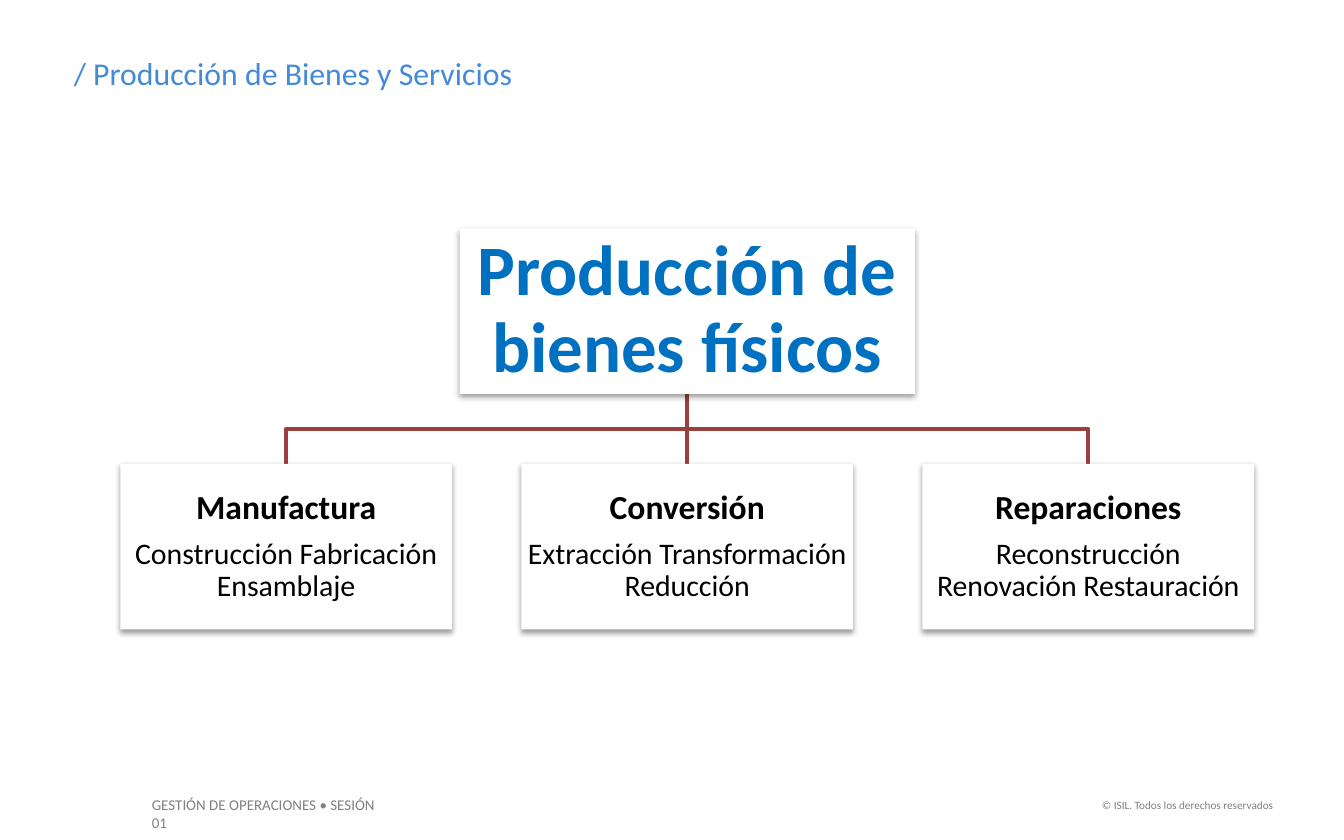
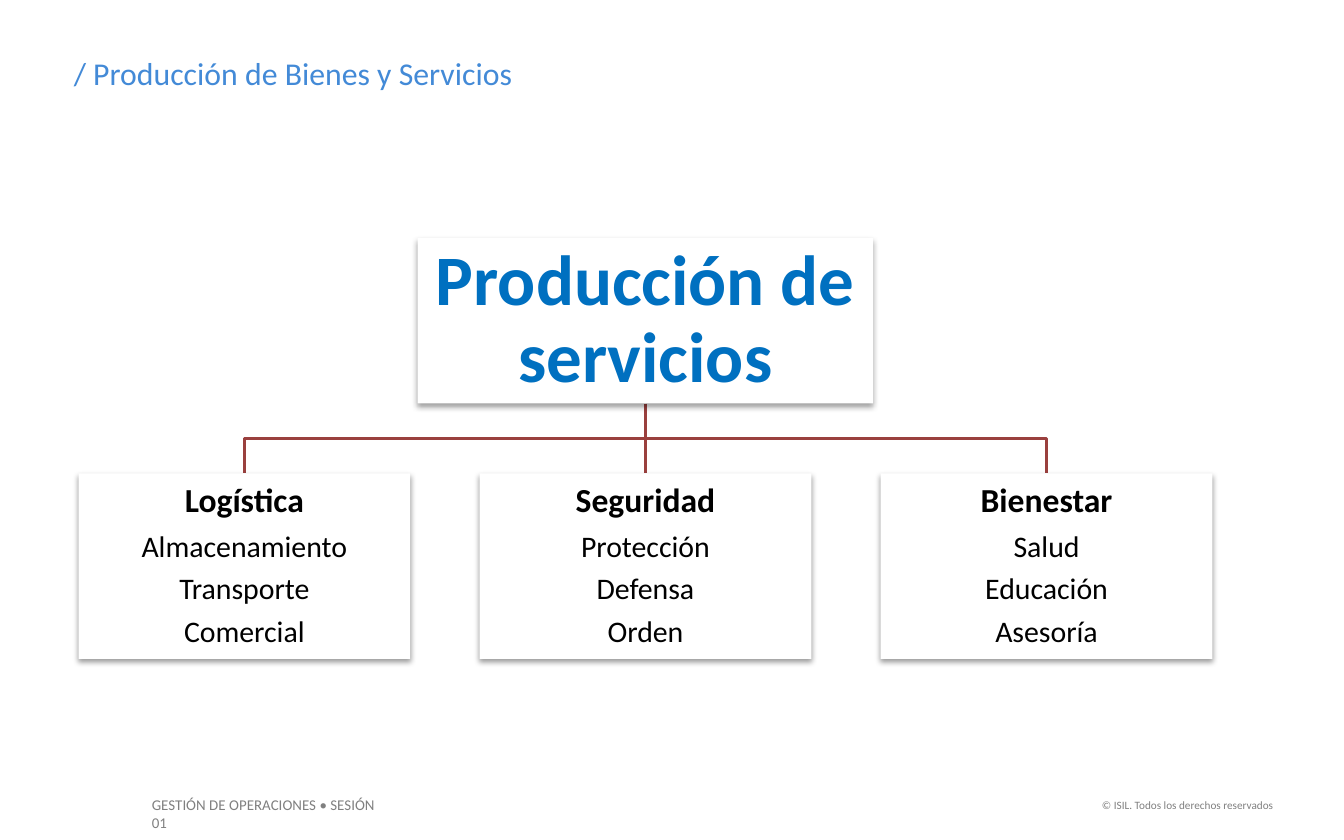
"""Build two slides that chart the production of goods and of services."""
from dataclasses import dataclass
from typing import Sequence

from lxml.etree import SubElement
from pptx import Presentation
from pptx.dml.color import RGBColor
from pptx.enum.shapes import MSO_CONNECTOR, MSO_SHAPE
from pptx.enum.text import MSO_ANCHOR, MSO_AUTO_SIZE, PP_ALIGN
from pptx.oxml.ns import qn
from pptx.slide import Slide
from pptx.text.text import TextFrame
from pptx.util import Cm, Length, Pt


@dataclass(frozen=True)
class TextStyle:
    """Look of one kind of paragraph."""
    size: float
    color: str
    bold: bool = False
    align: PP_ALIGN = PP_ALIGN.LEFT
    line_spacing: float = 1.0
    space_after: float = 0


@dataclass(frozen=True)
class Theme:
    """Colours and type of the deck."""
    font: str = "Calibri"
    card_fill: str = "FFFFFF"
    branch: str = "9A403E"
    branch_width: float = 2
    shadow: str = "000000"
    title: TextStyle = TextStyle(17, "438AD7")
    session: TextStyle = TextStyle(8, "808080")
    rights: TextStyle = TextStyle(6, "808080", align=PP_ALIGN.RIGHT)
    root: TextStyle = TextStyle(38, "0070C0", True, PP_ALIGN.CENTER, 0.9, 13.3)
    heading: TextStyle = TextStyle(18, "000000", True, PP_ALIGN.CENTER, 0.9, 6.3)
    item: TextStyle = TextStyle(16, "000000", False, PP_ALIGN.CENTER, 0.9, 5.6)


@dataclass(frozen=True)
class Frame:
    """Place and size of a box."""
    left: Length
    top: Length
    width: Length
    height: Length


@dataclass(frozen=True)
class Footer:
    """Small text at the foot of every slide."""
    text: str
    frame: Frame
    style: TextStyle


@dataclass(frozen=True)
class Branch:
    """Heading and items of one lower card."""
    heading: str
    items: tuple[str, ...]


@dataclass(frozen=True)
class Tree:
    """Root card with its row of branches."""
    root: str
    center: Length
    top: Length
    card_height: Length
    branches: tuple[Branch, ...]


THEME = Theme()
TITLE = "/ Producción de Bienes y Servicios"
TITLE_FRAME = Frame(Cm(1.14), Cm(0.89), Cm(20.02), Cm(0.99))
ROOT_WIDTH, ROOT_HEIGHT = Cm(8.61), Cm(3.13)
CARD_WIDTH, CARD_PITCH, LEVEL_GAP = Cm(6.27), Cm(7.58), Cm(1.32)
ROOT_INSET, CARD_INSET = Cm(0.08), Cm(0.03)

FOOTERS = (
    Footer("GESTIÓN DE OPERACIONES • SESIÓN 01",
           Frame(Cm(2.62), Cm(14.91), Cm(5.05), Cm(0.61)), THEME.session),
    Footer("© ISIL. Todos los derechos reservados",
           Frame(Cm(20.4), Cm(14.96), Cm(3.91), Cm(0.51)), THEME.rights),
)

TREES = (
    Tree("Producción de bienes físicos", Cm(12.99), Cm(4.32), Cm(3.13), (
        Branch("Manufactura", ("Construcción Fabricación Ensamblaje",)),
        Branch("Conversión", ("Extracción Transformación Reducción",)),
        Branch("Reparaciones", ("Reconstrucción Renovación Restauración",)),
    )),
    Tree("Producción de servicios", Cm(12.2), Cm(4.5), Cm(3.51), (
        Branch("Logística", ("Almacenamiento", "Transporte", "Comercial")),
        Branch("Seguridad", ("Protección", "Defensa", "Orden")),
        Branch("Bienestar", ("Salud", "Educación", "Asesoría")),
    )),
)


def write(text_frame: TextFrame, lines: Sequence[tuple[str, TextStyle]]) -> None:
    """Fill a text frame with one styled paragraph per line."""
    text_frame.word_wrap = True
    text_frame.auto_size = MSO_AUTO_SIZE.NONE
    for index, (text, style) in enumerate(lines):
        para = text_frame.add_paragraph() if index else text_frame.paragraphs[0]
        para.text = text
        para.alignment = style.align
        para.line_spacing = style.line_spacing
        para.space_before = Pt(0)
        para.space_after = Pt(style.space_after)
        para.font.name = THEME.font
        para.font.size = Pt(style.size)
        para.font.bold = style.bold
        para.font.color.rgb = RGBColor.from_string(style.color)


def add_title(slide: Slide) -> None:
    """Place and format the title placeholder."""
    title = slide.shapes.title
    title.left, title.top = TITLE_FRAME.left, TITLE_FRAME.top
    title.width, title.height = TITLE_FRAME.width, TITLE_FRAME.height
    title.text_frame.vertical_anchor = MSO_ANCHOR.TOP
    write(title.text_frame, [(TITLE, THEME.title)])


def add_footer(slide: Slide, footer: Footer) -> None:
    """Draw one footer text."""
    frame = footer.frame
    box = slide.shapes.add_textbox(frame.left, frame.top, frame.width, frame.height)
    write(box.text_frame, [(footer.text, footer.style)])


def add_card(slide: Slide, frame: Frame, inset: Length,
             lines: Sequence[tuple[str, TextStyle]]) -> None:
    """Draw a white card with a soft shadow and centred text."""
    card = slide.shapes.add_shape(MSO_SHAPE.RECTANGLE, frame.left, frame.top,
                                  frame.width, frame.height)
    card.fill.solid()
    card.fill.fore_color.rgb = RGBColor.from_string(THEME.card_fill)
    card.line.fill.background()
    card.shadow.inherit = False
    effects = card.element.spPr.find(qn("a:effectLst"))
    shadow = SubElement(effects, qn("a:outerShdw"), blurRad=str(Pt(3.1)),
                        dist=str(Pt(1.6)), dir="5400000", rotWithShape="0")
    color = SubElement(shadow, qn("a:srgbClr"), val=THEME.shadow)
    SubElement(color, qn("a:alpha"), val="38000")
    text_frame = card.text_frame
    text_frame.margin_left = text_frame.margin_right = inset
    text_frame.margin_top = text_frame.margin_bottom = inset
    text_frame.vertical_anchor = MSO_ANCHOR.MIDDLE
    write(text_frame, lines)


def add_branch_line(slide: Slide, start: Length, end: Length,
                    top: Length, bottom: Length) -> None:
    """Link the root to a card, with an elbow where they are not aligned."""
    if start == end:
        link = slide.shapes.add_connector(MSO_CONNECTOR.STRAIGHT, start, top, end, bottom)
        SubElement(link.element.spPr, qn("a:effectLst"))
    else:
        middle = (top + bottom) // 2
        outline = slide.shapes.build_freeform(start, top)
        outline.add_line_segments([(start, middle), (end, middle), (end, bottom)], close=False)
        link = outline.convert_to_shape()
        link.fill.background()
        link.shadow.inherit = False
    link.line.color.rgb = RGBColor.from_string(THEME.branch)
    link.line.width = Pt(THEME.branch_width)


def add_tree(slide: Slide, tree: Tree) -> None:
    """Draw the links, the root card and the row of branch cards."""
    root_bottom = Length(tree.top + ROOT_HEIGHT)
    card_top = Length(root_bottom + LEVEL_GAP)
    middle = len(tree.branches) // 2
    centers = [Length(tree.center + (index - middle) * CARD_PITCH)
               for index in range(len(tree.branches))]
    for center in reversed(centers):
        add_branch_line(slide, tree.center, center, root_bottom, card_top)
    root_frame = Frame(Length(tree.center - ROOT_WIDTH // 2), tree.top, ROOT_WIDTH, ROOT_HEIGHT)
    add_card(slide, root_frame, ROOT_INSET, [(tree.root, THEME.root)])
    for center, branch in zip(centers, tree.branches):
        frame = Frame(Length(center - CARD_WIDTH // 2), card_top, CARD_WIDTH, tree.card_height)
        lines = [(branch.heading, THEME.heading)]
        lines += [(item, THEME.item) for item in branch.items]
        add_card(slide, frame, CARD_INSET, lines)


def main() -> None:
    """Build and save the deck."""
    deck = Presentation()
    deck.slide_width, deck.slide_height = Cm(25.4), Cm(15.88)
    title_only = deck.slide_layouts.get_by_name("Title Only")
    for tree in TREES:
        page = deck.slides.add_slide(title_only)
        for footer in FOOTERS:
            add_footer(page, footer)
        add_title(page)
        add_tree(page, tree)
    deck.save("out.pptx")


if __name__ == "__main__":
    main()
